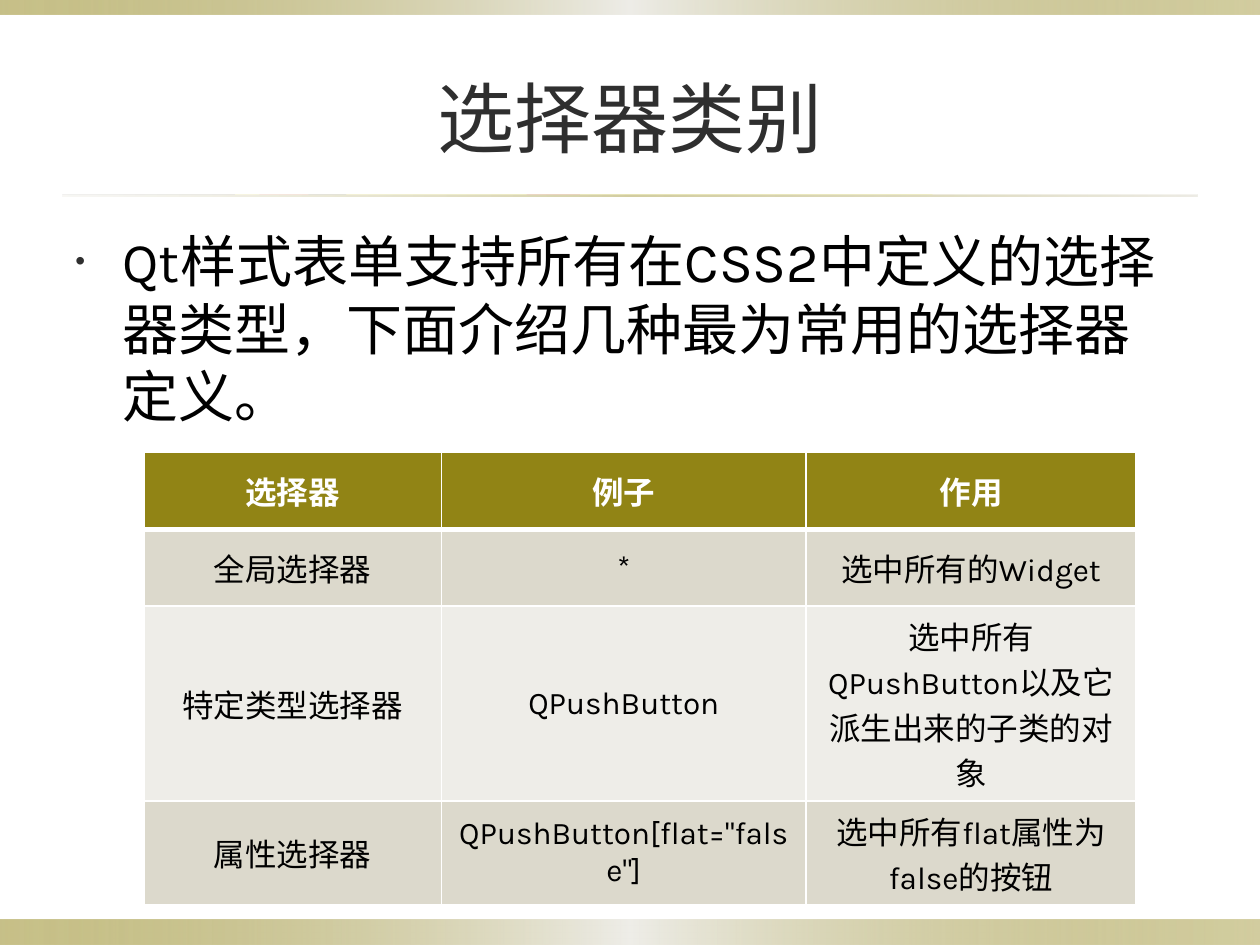
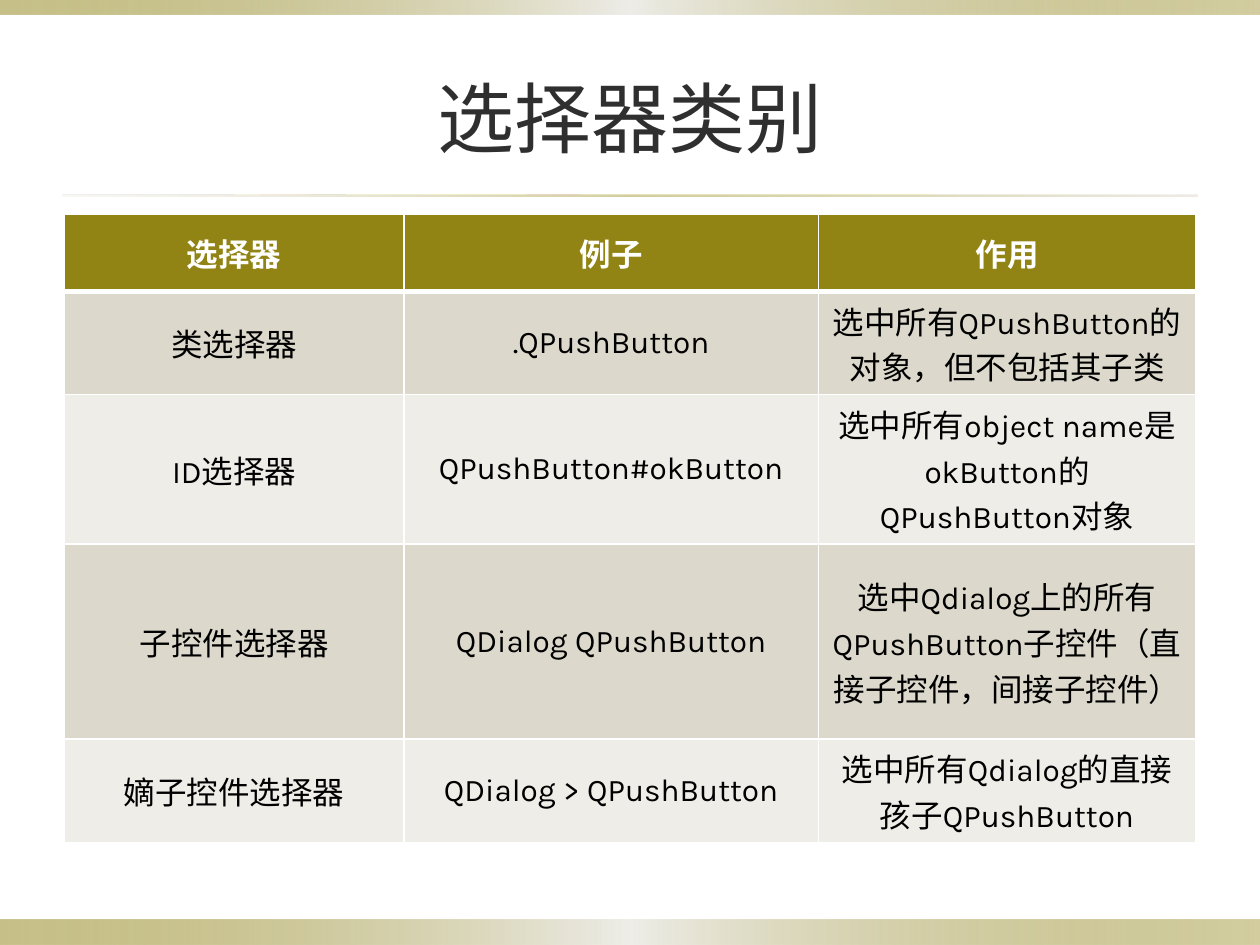
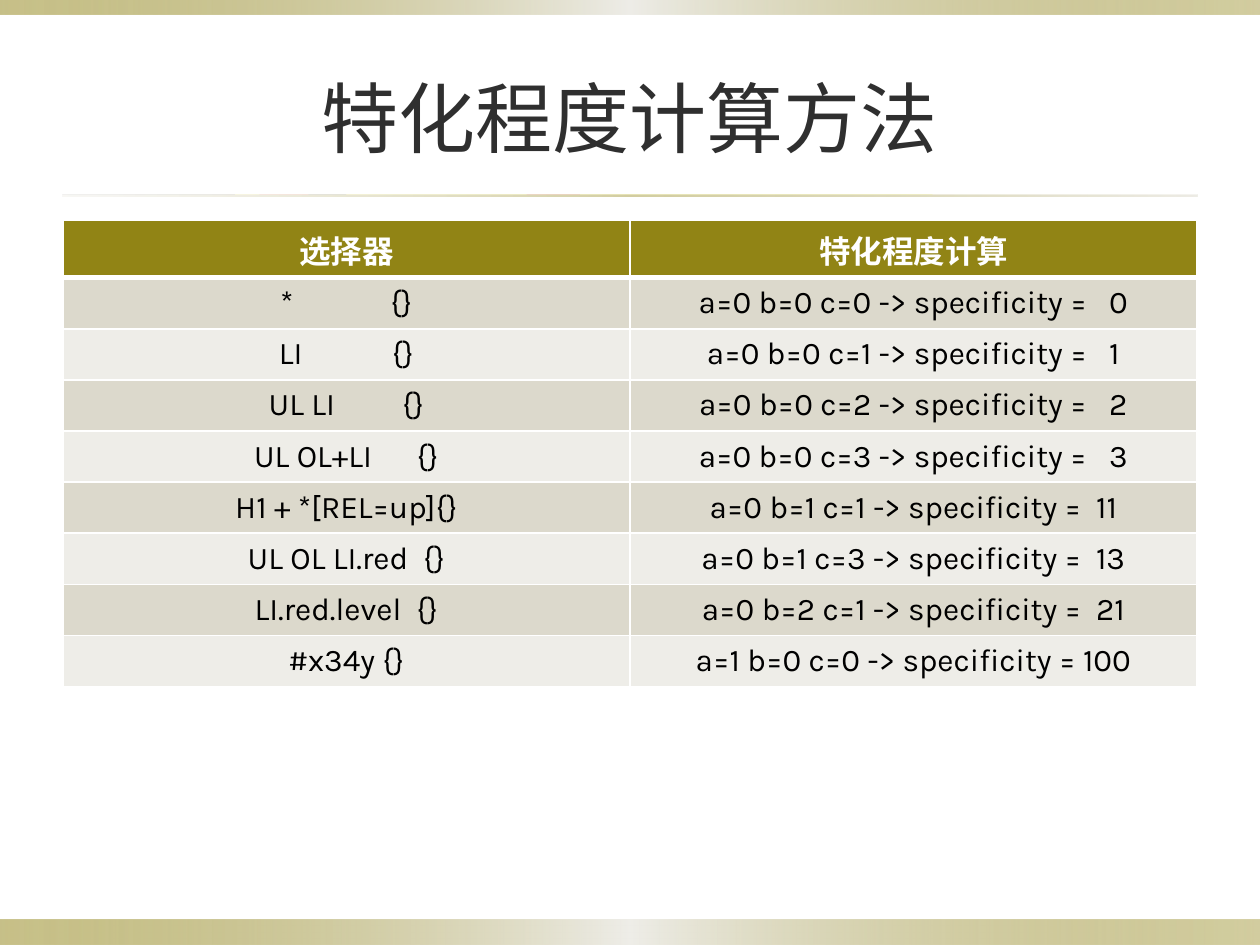
"""Build three slides on style sheet selectors and their specificity."""
from dataclasses import dataclass

from lxml import etree
from pptx import Presentation
from pptx import util as u
from pptx.dml.color import RGBColor
from pptx.enum import shapes, text
from pptx.oxml import ns


@dataclass(frozen=True)
class Theme:
    font: str = "Karla"
    title_size: int = 44
    body_size: int = 32
    table_size: int = 18
    olive: str = "918415"
    sand: str = "DCD9CC"
    mist: str = "EEEDE8"
    ink: str = "2F2F2F"
    black: str = "000000"
    white: str = "FFFFFF"
    thin: int = 1
    thick: int = 3


THEME = Theme()
WIDTH, HEIGHT = 25.4, 19.05
MARGIN = 1.27
INNER = WIDTH - 2 * MARGIN

BAND_STOPS = [(0, THEME.olive, 50), (50, THEME.mist, 100), (100, THEME.olive, 40)]
RULE_STOPS = [(0, THEME.sand, 20), (50, THEME.olive, 40), (100, THEME.sand, 50)]
BANDS = [
    ((0, 18.54, WIDTH, 0.51), BAND_STOPS),
    ((0, 0, WIDTH, 0.3), BAND_STOPS),
    ((MARGIN, 3.92, INNER, 0.04), RULE_STOPS),
]
TITLE_BOX = (MARGIN, 0.76, INNER, 3.18)
INTRO_BOX = (MARGIN, 4.45, INNER, 13.03)
INTRO_INDENT = 0.95

ONE_LINE, TWO_LINES, THREE_LINES, FOUR_LINES = 1.55, 2.08, 3.02, 3.93
SELECTOR_HEADER = ("选择器", "例子", "作用")
COMMON_SELECTORS = [
    SELECTOR_HEADER,
    ("全局选择器", "*", "选中所有的Widget"),
    ("特定类型选择器", "QPushButton", "选中所有QPushButton以及它派生出来的子类的对象"),
    ("属性选择器", 'QPushButton[flat="false"]', "选中所有flat属性为false的按钮"),
]
FURTHER_SELECTORS = [
    SELECTOR_HEADER,
    ("类选择器", ".QPushButton", "选中所有QPushButton的对象，但不包括其子类"),
    ("ID选择器", "QPushButton#okButton", "选中所有object name是okButton的QPushButton对象"),
    ("子控件选择器", "QDialog QPushButton",
     "选中Qdialog上的所有QPushButton子控件（直接子控件，间接子控件）"),
    ("嫡子控件选择器", "QDialog > QPushButton", "选中所有Qdialog的直接孩子QPushButton"),
]
RULE_COLUMN = 14
SPECIFICITIES = [
    ("*", RULE_COLUMN, 0, 0, 0),
    ("LI", RULE_COLUMN, 0, 0, 1),
    ("UL LI", RULE_COLUMN, 0, 0, 2),
    ("UL OL+LI", RULE_COLUMN, 0, 0, 3),
    ("H1 + *[REL=up]", RULE_COLUMN, 0, 1, 1),
    ("UL OL LI.red", RULE_COLUMN, 0, 1, 3),
    ("LI.red.level", RULE_COLUMN, 0, 2, 1),
    ("#x34y", 6, 1, 0, 0),
]
SPECIFICITY_ROWS = [("选择器", "特化程度计算")] + [
    (f"{selector:<{column}}{{}}",
     f"a={a} b={b} c={c} -> specificity = {100 * a + 10 * b + c:>3}")
    for selector, column, a, b, c in SPECIFICITIES
]

SLIDES = [
    {
        "title": "选择器类别",
        "intro": "Qt样式表单支持所有在CSS2中定义的选择器类型，下面介绍几种最为常用的选择器定义。",
        "rows": COMMON_SELECTORS,
        "corner": (2.9, 9.12),
        "widths": (6, 7.35, 6.65),
        "heights": (ONE_LINE, ONE_LINE, FOUR_LINES, TWO_LINES),
    },
    {
        "title": "选择器类别",
        "rows": FURTHER_SELECTORS,
        "corner": (1.3, 4.32),
        "widths": (6.84, 8.36, 7.6),
        "heights": (ONE_LINE, TWO_LINES, THREE_LINES, FOUR_LINES, TWO_LINES),
    },
    {
        "title": "特化程度计算方法",
        "rows": SPECIFICITY_ROWS,
        "corner": (MARGIN, 4.45),
        "widths": (INNER / 2,) * 2,
        "heights": (1.15,) + (1.03,) * len(SPECIFICITIES),
    },
]


def cm(lengths):
    return [u.Cm(length) for length in lengths]


def add_xml(parent, tag, **attributes):
    return etree.SubElement(parent, ns.qn(tag), {k: str(v) for k, v in attributes.items()})


def write(holder, words, size=THEME.table_size, color=THEME.black, bold=False,
          align=text.PP_ALIGN.CENTER, anchor=text.MSO_ANCHOR.MIDDLE):
    paragraph = holder.text_frame.paragraphs[0]
    paragraph.alignment = align
    run = paragraph.add_run()
    run.text = words
    run.font.name = THEME.font
    run.font.size = u.Pt(size)
    run.font.bold = bold
    run.font.color.rgb = RGBColor.from_string(color)
    anchored = holder if hasattr(holder, "vertical_anchor") else holder.text_frame
    anchored.vertical_anchor = anchor
    return paragraph


def add_text(slide, box, words, **style):
    area = slide.shapes.add_textbox(*cm(box))
    area.text_frame.word_wrap = True
    return write(area, words, **style)


def add_band(slide, box, stops):
    band = slide.shapes.add_shape(shapes.MSO_SHAPE.RECTANGLE, *cm(box))
    band.shadow.inherit = False
    band.line.fill.background()
    band.fill.gradient()
    band.fill.gradient_angle = 0
    stop_list = next(band._element.iter(ns.qn("a:gsLst")))
    stop_list[:] = []
    for position, color, opacity in stops:
        stop = add_xml(stop_list, "a:gs", pos=position * 1000)
        tint = add_xml(stop, "a:srgbClr", val=color)
        add_xml(tint, "a:alpha", val=opacity * 1000)


def add_intro(slide, words):
    intro = add_text(slide, INTRO_BOX, words, size=THEME.body_size,
                     align=text.PP_ALIGN.LEFT, anchor=text.MSO_ANCHOR.TOP)
    intro.space_before = u.Pt(0.2 * THEME.body_size)
    properties = intro._p.get_or_add_pPr()
    indent = u.Cm(INTRO_INDENT)
    properties.set("marL", str(indent))
    properties.set("indent", str(-indent))
    add_xml(add_xml(properties, "a:buClr"), "a:srgbClr", val=THEME.ink)
    add_xml(properties, "a:buSzPct", val=50000)
    add_xml(properties, "a:buFont", typeface="Arial")
    add_xml(properties, "a:buChar", char="•")


def add_borders(cell, top, bottom):
    properties = cell._tc.get_or_add_tcPr()
    for side, weight in zip("LRTB", (THEME.thin, THEME.thin, top, bottom)):
        border = add_xml(properties, f"a:ln{side}", w=u.Pt(weight))
        add_xml(add_xml(border, "a:solidFill"), "a:srgbClr", val=THEME.white)


def add_grid(slide, rows, corner, widths, heights):
    size = (sum(widths), sum(heights))
    grid = slide.shapes.add_table(len(rows), len(widths), *cm(corner + size)).table
    grid.horz_banding = False
    for column, width in zip(grid.columns, widths):
        column.width = u.Cm(width)
    for i, (entries, height) in enumerate(zip(rows, heights)):
        grid.rows[i].height = u.Cm(height)
        header = i == 0
        fill = THEME.olive if header else (THEME.mist, THEME.sand)[i % 2]
        for j, entry in enumerate(entries):
            cell = grid.cell(i, j)
            add_borders(cell, top=THEME.thick if i == 1 else THEME.thin,
                        bottom=THEME.thick if header else THEME.thin)
            cell.fill.solid()
            cell.fill.fore_color.rgb = RGBColor.from_string(fill)
            write(cell, entry, bold=header, color=THEME.white if header else THEME.black)


def main():
    deck = Presentation()
    deck.slide_width, deck.slide_height = cm((WIDTH, HEIGHT))
    for content in SLIDES:
        slide = deck.slides.add_slide(deck.slide_layouts[6])
        for box, stops in BANDS:
            add_band(slide, box, stops)
        add_text(slide, TITLE_BOX, content["title"], size=THEME.title_size, color=THEME.ink)
        if "intro" in content:
            add_intro(slide, content["intro"])
        add_grid(slide, content["rows"], content["corner"],
                 content["widths"], content["heights"])
    deck.save("out.pptx")


if __name__ == "__main__":
    main()
